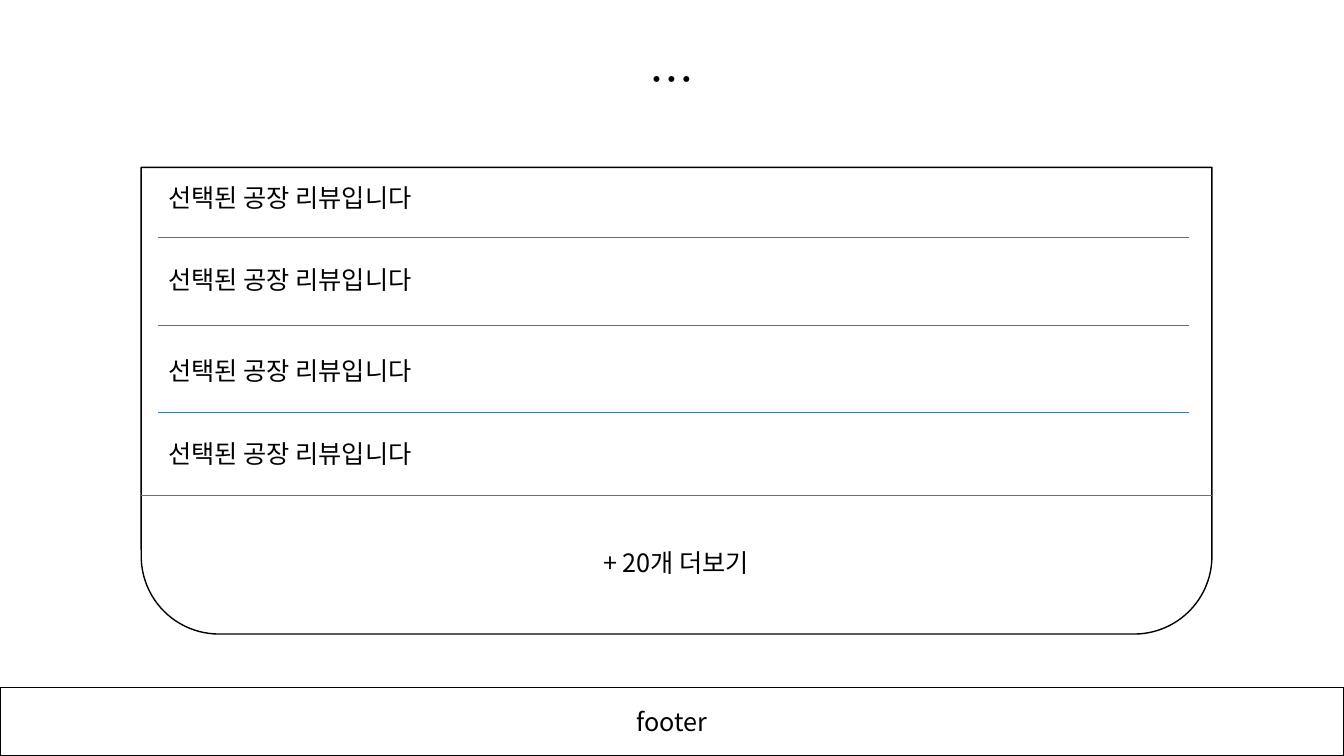
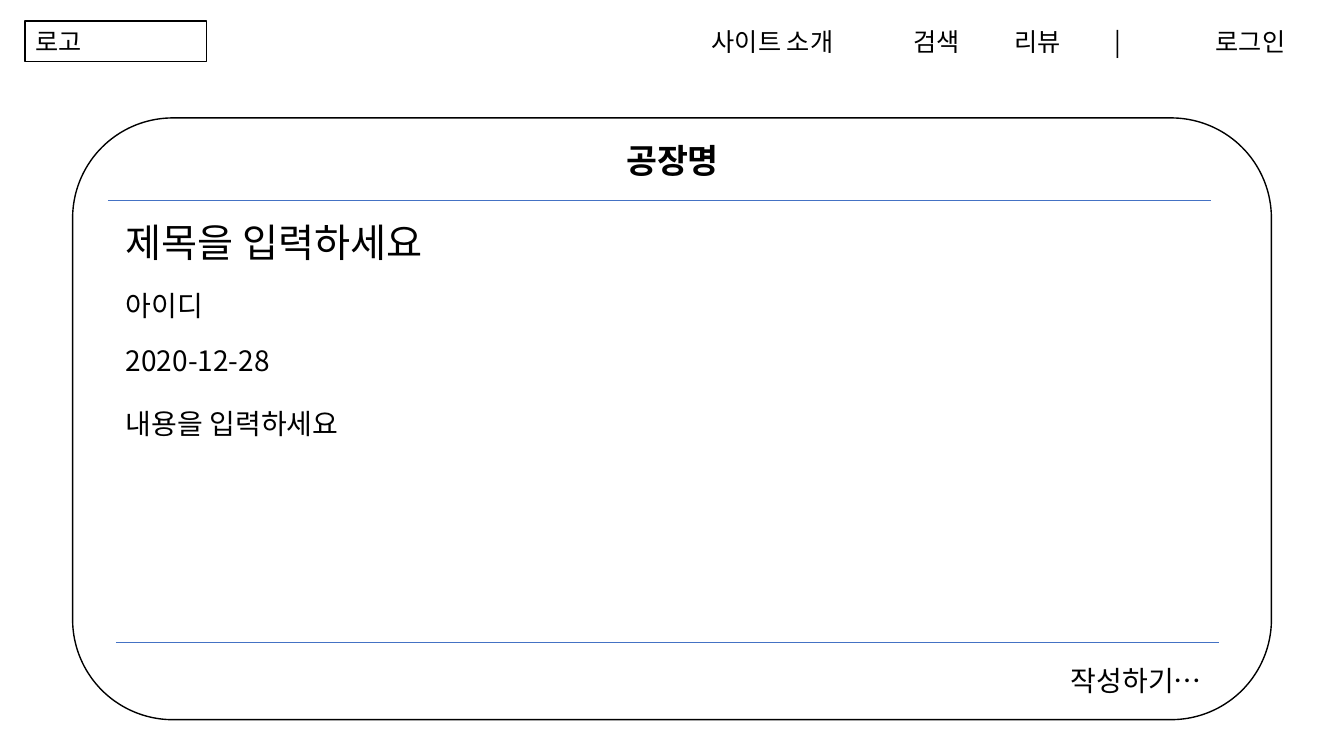
from dataclasses import dataclass

from lxml.etree import SubElement
from pptx import Presentation
from pptx.dml.color import RGBColor
from pptx.enum.shapes import MSO_CONNECTOR, MSO_SHAPE
from pptx.enum.text import MSO_ANCHOR, MSO_AUTO_SIZE, PP_ALIGN
from pptx.oxml.ns import qn
from pptx.util import Inches, Pt


@dataclass(frozen=True)
class Theme:
    font: str = "Noto Sans CJK KR"
    ink: RGBColor = RGBColor(0, 0, 0)
    paper: RGBColor = RGBColor(255, 255, 255)
    rule: RGBColor = RGBColor(0x44, 0x72, 0xC4)
    body: int = 18
    field: int = 20
    heading: int = 24
    title: int = 28
    dots: int = 32
    outline: float = 1
    hairline: float = 0.5
    tab: float = 1


def write(frame, text, theme, size=None, bold=False, align=PP_ALIGN.LEFT,
          anchor=MSO_ANCHOR.TOP, grow=True):
    frame.word_wrap = True
    frame.vertical_anchor = anchor
    if grow:
        frame.auto_size = MSO_AUTO_SIZE.SHAPE_TO_FIT_TEXT
    paragraph = frame.paragraphs[0]
    paragraph.alignment = align
    paragraph._p.get_or_add_pPr().set("defTabSz", str(Inches(theme.tab)))
    run = paragraph.add_run()
    run.text = text
    font = run.font
    font.name = theme.font
    font.size = Pt(size or theme.body)
    font.bold = bold
    font.color.rgb = theme.ink
    SubElement(font._element, qn("a:ea")).set("typeface", theme.font)


class Wireframe:
    def __init__(self, theme):
        self.theme = theme
        self.deck = Presentation()
        self.deck.slide_width = Inches(13.33)
        self.deck.slide_height = Inches(7.5)
        self.slide = None

    def new_slide(self):
        self.slide = self.deck.slides.add_slide(self.deck.slide_layouts[6])

    def box(self, left, top, width, height, text=None, preset=MSO_SHAPE.RECTANGLE,
            rotation=0, outlined=True, **style):
        panel = self.slide.shapes.add_shape(
            preset, Inches(left), Inches(top), Inches(width), Inches(height))
        panel.shadow.inherit = False
        panel.rotation = rotation
        panel.fill.solid()
        panel.fill.fore_color.rgb = self.theme.paper
        if outlined:
            panel.line.color.rgb = self.theme.ink
            panel.line.width = Pt(self.theme.outline)
        else:
            panel.line.fill.background()
        if text:
            write(panel.text_frame, text, self.theme, **style)

    def label(self, left, top, width, height, text, **style):
        caption = self.slide.shapes.add_textbox(
            Inches(left), Inches(top), Inches(width), Inches(height))
        write(caption.text_frame, text, self.theme, **style)

    def field(self, left, top, width, height, text, **style):
        self.box(left, top, width, height, text, outlined=False, **style)

    def divider(self, left, right, top):
        rule = self.slide.shapes.add_connector(
            MSO_CONNECTOR.STRAIGHT, Inches(left), Inches(top), Inches(right), Inches(top))
        rule.line.color.rgb = self.theme.rule
        rule.line.width = Pt(self.theme.hairline)
        SubElement(rule._element.spPr, qn("a:effectLst"))


def build_review_list(page):
    page.new_slide()
    page.box(1.4, 1.66, 10.62, 4.63, preset=MSO_SHAPE.ROUND_2_SAME_RECTANGLE, rotation=180)
    for divider_top in (2.35, 3.23, 4.09):
        page.divider(1.57, 11.79, divider_top)
    page.divider(1.4, 12.02, 4.91)
    for review_top in (1.76, 2.57, 3.48, 4.3):
        page.label(1.57, review_top, 6.89, 0.4, "선택된 공장 리뷰입니다")
    page.label(3.26, 5.38, 6.89, 0.4, "+ 20개 더보기", align=PP_ALIGN.CENTER)
    page.label(3.22, 0.46, 6.89, 0.64, "…", size=page.theme.dots, align=PP_ALIGN.CENTER)
    page.box(0, 6.82, 13.33, 0.68, "footer", align=PP_ALIGN.CENTER,
             anchor=MSO_ANCHOR.MIDDLE, grow=False)


def build_review_form(page):
    theme = page.theme
    page.new_slide()
    page.box(0.25, 0.21, 1.8, 0.4, "로고")
    page.field(6.96, 0.21, 6.12, 0.4, "사이트 소개\t검색\t리뷰\t|\t로그인")
    page.box(0.72, 1.17, 11.89, 5.97, preset=MSO_SHAPE.FLOWCHART_ALTERNATE_PROCESS)
    page.field(3.61, 1.34, 6.12, 0.5, "공장명", size=theme.heading, bold=True, align=PP_ALIGN.CENTER)
    page.field(1.15, 2.12, 6.12, 0.57, "제목을 입력하세요", size=theme.title)
    for entry_top, entry in ((2.81, "아이디"), (3.36, "2020-12-28"), (3.98, "내용을 입력하세요")):
        page.field(1.15, entry_top, 6.12, 0.44, entry, size=theme.field)
    page.divider(1.15, 12.09, 6.37)
    page.field(9.48, 6.53, 2.54, 0.44, "작성하기…", size=theme.field, align=PP_ALIGN.RIGHT)
    page.divider(1.07, 12.01, 1.99)


def main():
    page = Wireframe(Theme())
    build_review_list(page)
    build_review_form(page)
    page.deck.save("out.pptx")


if __name__ == "__main__":
    main()
